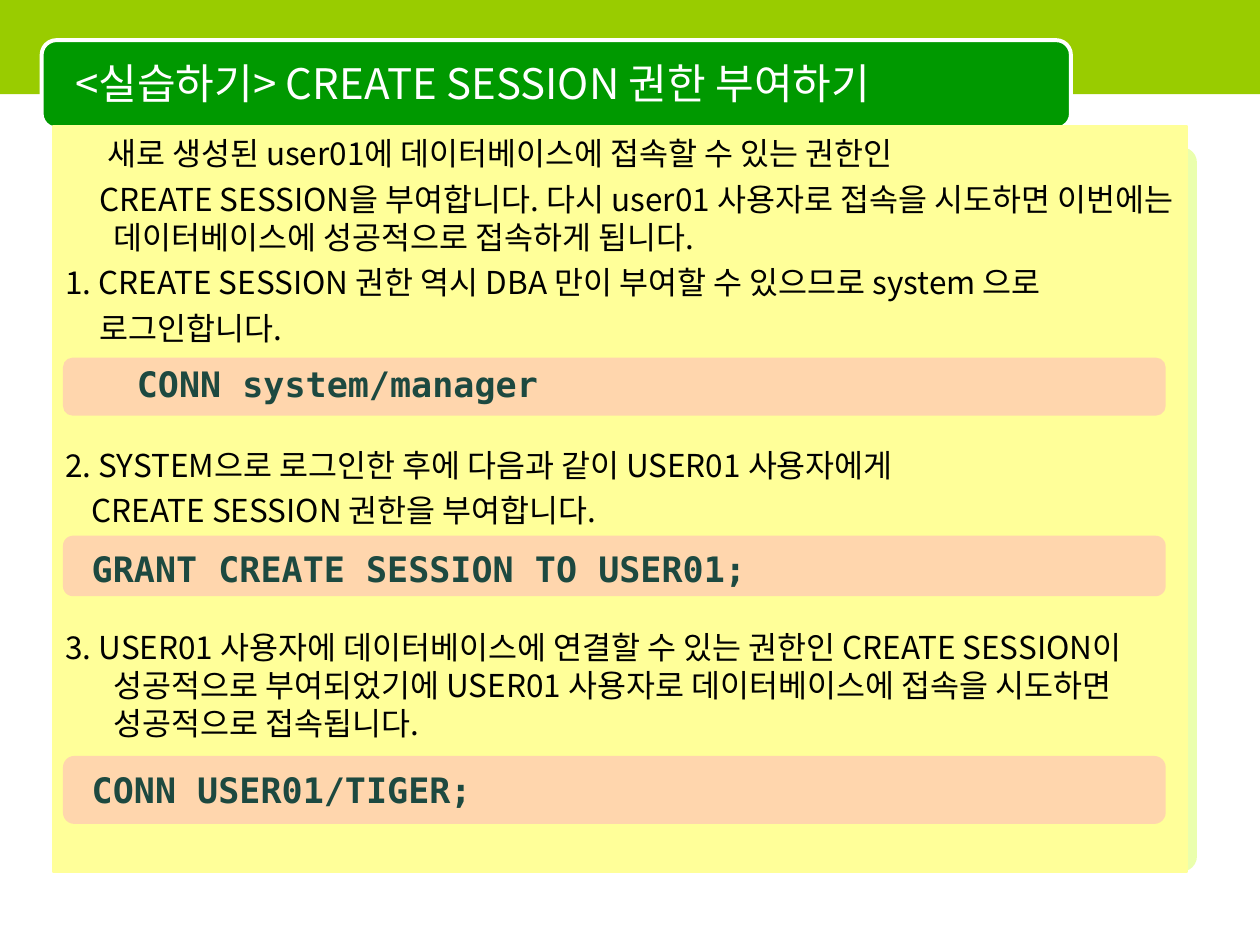
from lxml import etree
from pptx import Presentation
from pptx.dml.color import RGBColor
from pptx.enum.shapes import MSO_SHAPE as SHAPE
from pptx.enum.text import MSO_ANCHOR as ANCHOR, PP_ALIGN as ALIGN
from pptx.oxml.ns import qn
from pptx.util import Cm, Pt

COLORS = {
    "lime": "99CC00", "green": "009900", "white": "FFFFFF", "black": "000000",
    "glow": "CCFF33", "panel": "FFFF99", "code_bar": "FF99CC", "code": "1D4940",
}
BODY_FONT = "Noto Sans CJK KR"
CODE_FONT = "DejaVu Sans Mono"
LINE_PT = 21.55
GAP_PT = 4.5
CODE_GAP_PT = 56.7  # room left for a code bar

# text, left margin (cm), first-line indent (cm), space before (pt)
STEPS = [
    ("새로 생성된 user01에 데이터베이스에 접속할 수 있는 권한인", 0.84, 0, 0),
    ("CREATE SESSION을 부여합니다. 다시 user01 사용자로 접속을 시도하면 "
     "이번에는 데이터베이스에 성공적으로 접속하게 됩니다.", 0.97, -0.28, GAP_PT),
    ("1. CREATE SESSION 권한 역시 DBA 만이 부여할 수 있으므로 system 으로",
     0.97, -0.97, GAP_PT),
    ("로그인합니다.", 0.69, 0, GAP_PT),
    ("2. SYSTEM으로 로그인한 후에 다음과 같이 USER01 사용자에게",
     0.97, -0.97, CODE_GAP_PT),
    ("CREATE SESSION 권한을 부여합니다.", 0.53, 0, GAP_PT),
    ("3. USER01 사용자에 데이터베이스에 연결할 수 있는 권한인 CREATE SESSION이 "
     "성공적으로 부여되었기에 USER01 사용자로 데이터베이스에 접속을 시도하면 "
     "성공적으로 접속됩니다.", 0.97, -0.97, CODE_GAP_PT),
]

# code, bar top in the panel, bar height, text offset from the bar (cm)
CODES = [
    ("CONN system/manager", 4.67, 1.17, 1.24, -0.02),
    ("GRANT CREATE SESSION TO USER01;", 8.26, 1.22, 0.33, 0.12),
    ("CONN USER01/TIGER;", 12.7, 1.37, 0.33, 0.13),
]


def rgb(name):
    return RGBColor.from_string(COLORS[name])


def add_box(slide, kind, box, fill, line=None, line_pt=0.75, radius=None, alpha=None):
    sp = slide.shapes.add_shape(kind, *map(Cm, box))
    sp.shadow.inherit = False
    sp.fill.solid()
    sp.fill.fore_color.rgb = rgb(fill)
    if alpha is not None:
        clr = sp.fill._xPr.find(qn("a:solidFill"))[0]
        etree.SubElement(clr, qn("a:alpha")).set("val", str(alpha * 1000))
    if line:
        sp.line.color.rgb = rgb(line)
        sp.line.width = Pt(line_pt)
    else:
        sp.line.fill.background()
    if radius is not None:
        sp.adjustments[0] = radius
    return sp


def style_runs(p, size, font, color, bold=False):
    for r in p.runs:
        r.font.size = Pt(size)
        r.font.name = font
        r.font.bold = bold
        r.font.color.rgb = rgb(color)
        ea = etree.SubElement(r._r.get_or_add_rPr(), qn("a:ea"))
        ea.set("typeface", font)


def add_label(slide, box, text, size, font, color, bold=False, anchor=ANCHOR.TOP):
    tf = slide.shapes.add_textbox(*map(Cm, box)).text_frame
    tf.word_wrap = True
    tf.vertical_anchor = anchor
    tf.text = text
    style_runs(tf.paragraphs[0], size, font, color, bold)


def add_header(slide, box):
    x, y, w, h = box
    add_box(slide, SHAPE.RECTANGLE, box, "lime")
    add_box(slide, SHAPE.ROUNDED_RECTANGLE, (x + 0.84, y + 0.81, w - 4.65, h - 0.12),
            "green", "white", 2.25, radius=0.167)
    add_label(slide, (x + 1.27, y + 0.89, w - 5.28, h - 0.33),
              "<실습하기> CREATE SESSION 권한 부여하기",
              24, BODY_FONT, "white", anchor=ANCHOR.MIDDLE)


def add_steps(slide, box):
    sp = add_box(slide, SHAPE.RECTANGLE, box, "panel", "panel")
    tf = sp.text_frame
    tf.word_wrap = True
    tf.vertical_anchor = ANCHOR.TOP
    tf.margin_top = Cm(0.17)
    for i, (text, left, indent, before) in enumerate(STEPS):
        p = tf.paragraphs[0] if i == 0 else tf.add_paragraph()
        p.text = text
        p.alignment = ALIGN.LEFT
        p.line_spacing = Pt(LINE_PT)
        p.space_before = Pt(before)
        pPr = p._p.get_or_add_pPr()
        pPr.set("marL", str(Cm(left)))
        pPr.set("indent", str(Cm(indent)))
        style_runs(p, 18, BODY_FONT, "black")


def add_code_bars(slide, box):
    x, y, w, _ = box
    for code, top, height, dx, dy in CODES:
        bar_x, bar_y, bar_w = x + 0.2, y + top, w - 0.63
        add_box(slide, SHAPE.ROUNDED_RECTANGLE, (bar_x, bar_y, bar_w, height),
                "code_bar", radius=0.167, alpha=40)
        add_label(slide, (bar_x + dx, bar_y + dy, bar_w - dx - 0.33, 1.12),
                  code, 20, CODE_FONT, "code", bold=True)


def main():
    prs = Presentation()
    prs.slide_width, prs.slide_height = Cm(25.4), Cm(19.05)
    slide = prs.slides.add_slide(prs.slide_layouts[6])
    panel = (1.07, 2.54, 22.86, 15.04)
    add_box(slide, SHAPE.ROUNDED_RECTANGLE, (1.27, 2.97, 22.86, 14.6),
            "glow", radius=0.021, alpha=40)
    add_header(slide, (0, 0, 25.4, 1.9))
    add_steps(slide, panel)
    add_code_bars(slide, panel)
    prs.save("out.pptx")


if __name__ == "__main__":
    main()
